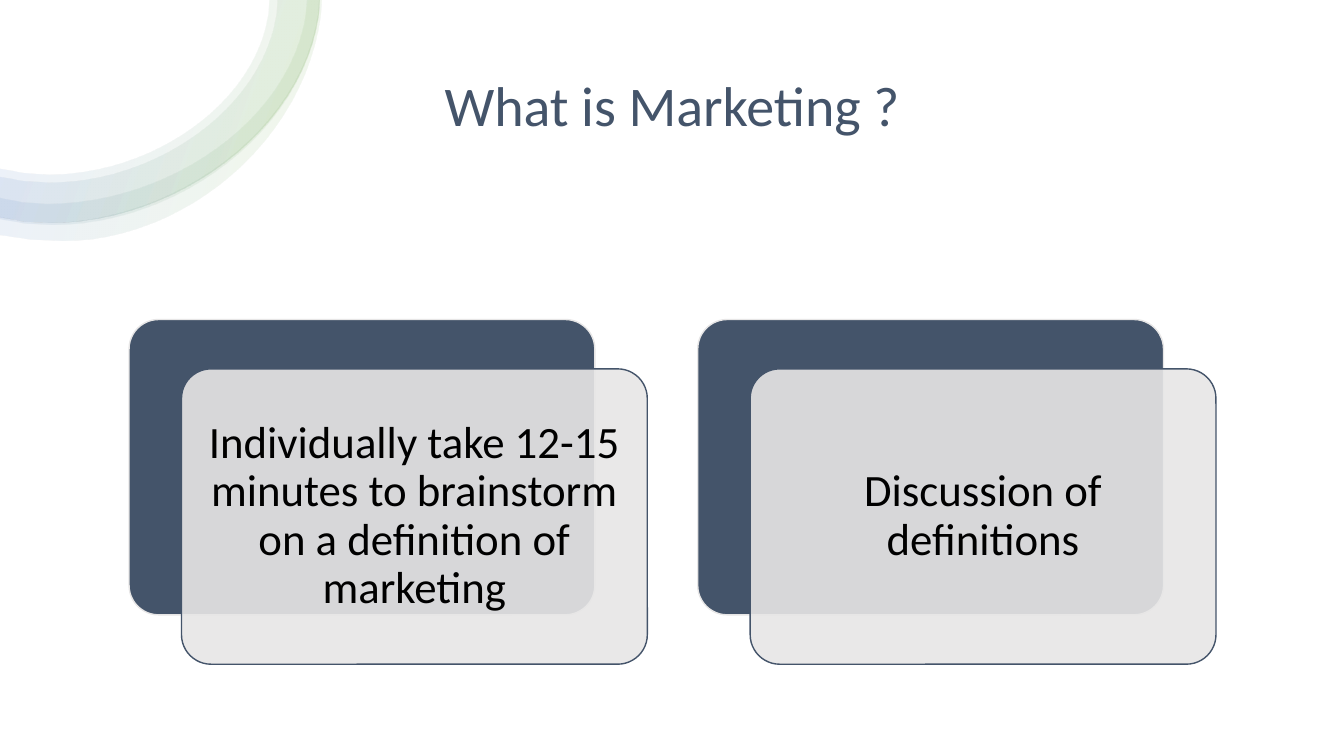
from lxml.etree import SubElement
from pptx import Presentation
from pptx.dml.color import RGBColor
from pptx.enum.shapes import MSO_SHAPE
from pptx.enum.text import MSO_ANCHOR, PP_ALIGN
from pptx.oxml.ns import qn
from pptx.util import Pt

EMU_PER_PX = 9144
COLORS = {"white": "FFFFFF", "slate": "44546A", "mist": "E7E6E6",
          "ink": "000000", "green": "70AD47", "blue": "4472C4"}
RING_STOPS = [(2, "white"), (16, "green"), (85, "blue"), (100, "white")]
RING_ALPHA = 10
RING_ANGLE = 200
RING_SHOULDER = 14
RING_DROP = 6
CURVE_STEPS = 24
WIDE_EDGE = (317, 49, 221)
RING_BANDS = [(WIDE_EDGE, (267, 49, 173)),
              (WIDE_EDGE, (275, 49, 181)),
              ((317, 52, 223), (304, 47, 202)),
              ((319, 62, 239), (316, 45, 221))]
CARDS = ["Individually take 12-15 minutes to brainstorm on a definition of marketing",
         "Discussion of definitions"]
CARD_LEFT, CARD_TOP, CARD_PITCH = 128, 317, 564
CARD_WIDTH, CARD_HEIGHT = 462, 293
CARD_SHIFT_X, CARD_SHIFT_Y = 52, 49


def px(length):
    """Turn px into EMU."""
    return round(length * EMU_PER_PX)


def rgb(name):
    """Look up a named colour."""
    return RGBColor.from_string(COLORS[name])


def add_alpha(color_element, percent):
    """Make a colour element partly transparent."""
    SubElement(color_element, qn("a:alpha"), val=str(percent * 1000))


def write_text(box, text, *, size, color, font="Calibri", margins=(10, 5)):
    """Put one centred paragraph into a box."""
    frame = box.text_frame
    frame.word_wrap = True
    frame.vertical_anchor = MSO_ANCHOR.MIDDLE
    frame.margin_left = frame.margin_right = px(margins[0])
    frame.margin_top = frame.margin_bottom = px(margins[1])
    para = frame.paragraphs[0]
    para.alignment = PP_ALIGN.CENTER
    para.line_spacing = 0.9
    span = para.add_run()
    span.text = text
    span.font.name = font
    span.font.size = Pt(size)
    span.font.color.rgb = rgb(color)


def ring_edge(top_x, low_x, low_y):
    """Trace one ring edge from the slide's top to its left side."""
    start_x = top_x - 1
    run, fall = start_x - low_x, low_y - RING_SHOULDER
    controls = [(start_x, RING_SHOULDER),
                (start_x - 0.06 * run, RING_SHOULDER + 0.56 * fall),
                (low_x + 0.47 * run, low_y),
                (low_x, low_y)]
    points = [(top_x, 0)]
    for step in range(CURVE_STEPS + 1):
        t = step / CURVE_STEPS
        weights = ((1 - t) ** 3, 3 * t * (1 - t) ** 2, 3 * t * t * (1 - t), t ** 3)
        points.append(tuple(sum(weight * control[axis]
                                for weight, control in zip(weights, controls))
                            for axis in (0, 1)))
    return points + [(low_x / 2, low_y - RING_DROP / 4), (0, low_y - RING_DROP)]


class SlideBuilder:
    """Holds the style and the current slide."""

    def __init__(self, deck):
        """Add a blank white page."""
        self.page = deck.slides.add_slide(deck.slide_layouts[6])
        background = self.page.background.fill
        background.solid()
        background.fore_color.rgb = rgb("white")

    def title(self, text, left, top, width, height):
        """Add the heading."""
        box = self.page.shapes.add_textbox(px(left), px(top), px(width), px(height))
        write_text(box, text, size=40, color="slate")

    def band(self, outer, inner):
        """Add one translucent gradient band of the ring."""
        outline = ring_edge(*outer) + ring_edge(*inner)[::-1]
        points = [(px(x), px(y)) for x, y in outline]
        builder = self.page.shapes.build_freeform(*points[0])
        builder.add_line_segments(points[1:], close=True)
        band = builder.convert_to_shape()
        band.shadow.inherit = False
        band.line.fill.background()
        band.fill.gradient()
        gradient = band._element.spPr.find(qn("a:gradFill"))
        for child in list(gradient):
            gradient.remove(child)
        stops = SubElement(gradient, qn("a:gsLst"))
        for position, color in RING_STOPS:
            stop = SubElement(stops, qn("a:gs"), pos=str(position * 1000))
            add_alpha(SubElement(stop, qn("a:srgbClr"), val=COLORS[color]), RING_ALPHA)
        SubElement(gradient, qn("a:lin"), ang=str(RING_ANGLE * 60000), scaled="0")

    def panel(self, left, top, *, fill, line, alpha=100):
        """Add one rounded panel of a card."""
        panel = self.page.shapes.add_shape(
            MSO_SHAPE.ROUNDED_RECTANGLE, px(left), px(top), px(CARD_WIDTH), px(CARD_HEIGHT))
        panel.adjustments[0] = 0.1
        panel.shadow.inherit = False
        panel.fill.solid()
        panel.fill.fore_color.rgb = rgb(fill)
        if alpha < 100:
            solid = panel._element.spPr.find(qn("a:solidFill"))
            add_alpha(solid.find(qn("a:srgbClr")), alpha)
        panel.line.color.rgb = rgb(line)
        panel.line.width = Pt(1)
        return panel

    def card(self, text, left, top):
        """Add a dark panel with a light text panel over it."""
        self.panel(left, top, fill="slate", line="mist")
        front = self.panel(left + CARD_SHIFT_X, top + CARD_SHIFT_Y,
                           fill="mist", line="slate", alpha=90)
        write_text(front, text, size=32, color="ink", margins=(13, 13))


def main():
    """Build and save the deck."""
    deck = Presentation()
    deck.slide_width, deck.slide_height = px(1333), px(750)
    slide = SlideBuilder(deck)
    slide.title("What is Marketing ?", 129, 35, 1075, 145)
    for outer, inner in RING_BANDS:
        slide.band(outer, inner)
    for index, text in enumerate(CARDS):
        slide.card(text, CARD_LEFT + index * CARD_PITCH, CARD_TOP)
    deck.save("out.pptx")


if __name__ == "__main__":
    main()
